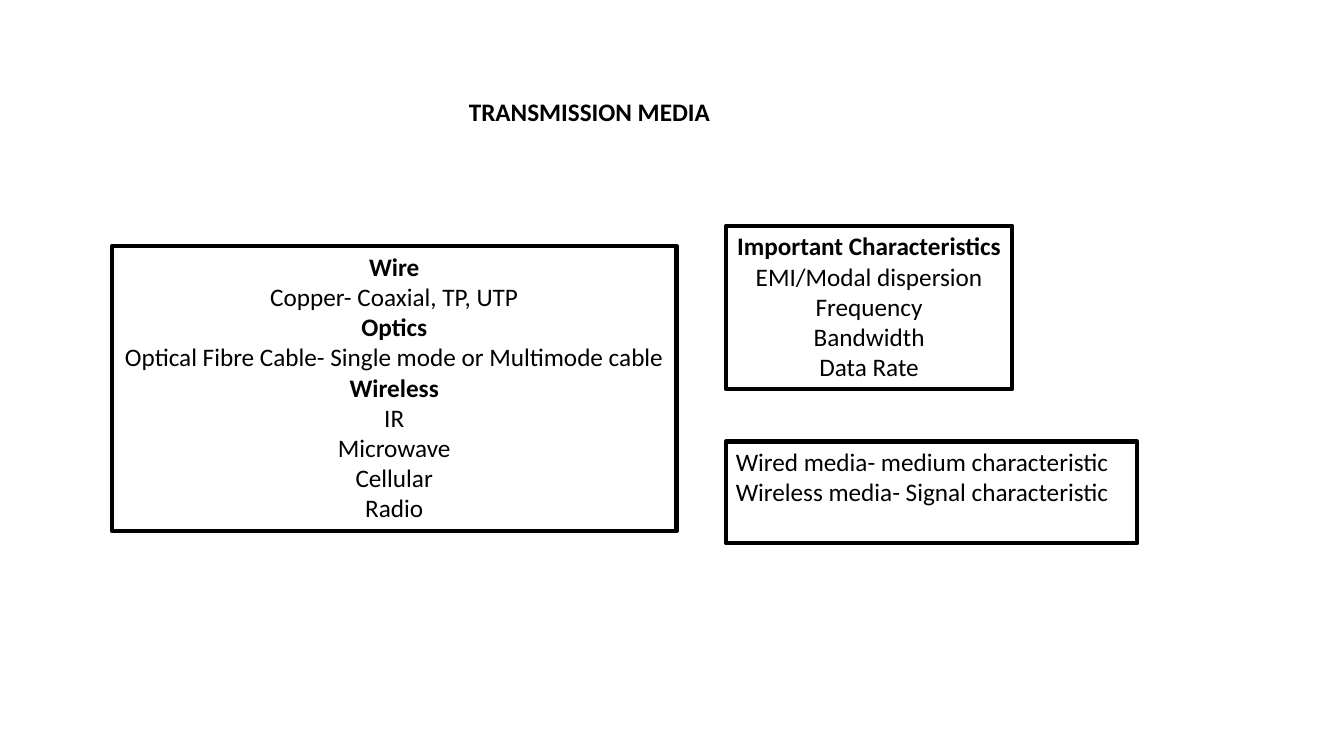
from pptx import Presentation
from pptx.dml.color import RGBColor
from pptx.enum.shapes import MSO_SHAPE
from pptx.enum.text import MSO_ANCHOR, MSO_AUTO_SIZE, PP_ALIGN
from pptx.util import Inches, Pt

BLACK = RGBColor(0x00, 0x00, 0x00)
RECTANGLE = MSO_SHAPE.RECTANGLE
TOP = MSO_ANCHOR.TOP
LEFT, CENTER = PP_ALIGN.LEFT, PP_ALIGN.CENTER
GROW, FIXED = MSO_AUTO_SIZE.SHAPE_TO_FIT_TEXT, MSO_AUTO_SIZE.NONE
TITLE_ONLY = 5
RIGHT_COLUMN = 54.01


def write(frame, lines, headings=(), align=LEFT, wrap=True, fit=GROW,
          font="Calibri", size=18, color=BLACK):
    """Fill a text frame with one paragraph per line, headings in bold."""
    frame.word_wrap = wrap
    frame.auto_size = fit
    frame.vertical_anchor = TOP
    for number, line in enumerate(lines):
        paragraph = frame.add_paragraph() if number else frame.paragraphs[0]
        paragraph.alignment = align
        run = paragraph.add_run()
        run.text = line
        run.font.name = font
        run.font.size = Pt(size)
        run.font.bold = line in headings
        run.font.color.rgb = color


class MediaSlide:
    """Places elements in percent of the slide's width and height."""

    def __init__(self, deck, border=3):
        self.deck = deck
        self.border = Pt(border)
        self.slide = deck.slides.add_slide(deck.slide_layouts[TITLE_ONLY])

    def area(self, left, top, width, height):
        across = self.deck.slide_width / 100
        down = self.deck.slide_height / 100
        return (round(left * across), round(top * down),
                round(width * across), round(height * down))

    def title(self, text, place):
        heading = self.slide.shapes.title
        heading.left, heading.top, heading.width, heading.height = self.area(*place)
        write(heading.text_frame, [text], headings=[text], wrap=False)

    def box(self, lines, place, **text_format):
        frame = self.slide.shapes.add_shape(RECTANGLE, *self.area(*place))
        frame.shadow.inherit = False
        frame.fill.background()
        frame.line.color.rgb = BLACK
        frame.line.width = self.border
        write(frame.text_frame, lines, **text_format)


def main():
    deck = Presentation()
    deck.slide_width, deck.slide_height = Inches(13.33), Inches(7.5)
    media = MediaSlide(deck)

    media.title("TRANSMISSION MEDIA", (34.13, 12.13, 20.03, 5.33))

    # Kinds of media
    media.box(
        ["Wire", "Copper- Coaxial, TP, UTP",
         "Optics", "Optical Fibre Cable- Single mode or Multimode cable",
         "Wireless", "IR", "Microwave", "Cellular", "Radio"],
        (8.33, 32.53, 42.01, 37.73),
        headings=["Wire", "Optics", "Wireless"], align=CENTER)

    # Characteristics
    media.box(
        ["Important Characteristics", "EMI/Modal dispersion", "Frequency",
         "Bandwidth", "Data Rate"],
        (RIGHT_COLUMN, 29.87, 21.31, 21.6),
        headings=["Important Characteristics"], align=CENTER, wrap=False)

    # What matters for each kind
    media.box(
        ["Wired media- medium characteristic",
         "Wireless media- Signal characteristic"],
        (RIGHT_COLUMN, 58.4, 30.61, 13.47), fit=FIXED)

    deck.save("out.pptx")


if __name__ == "__main__":
    main()
